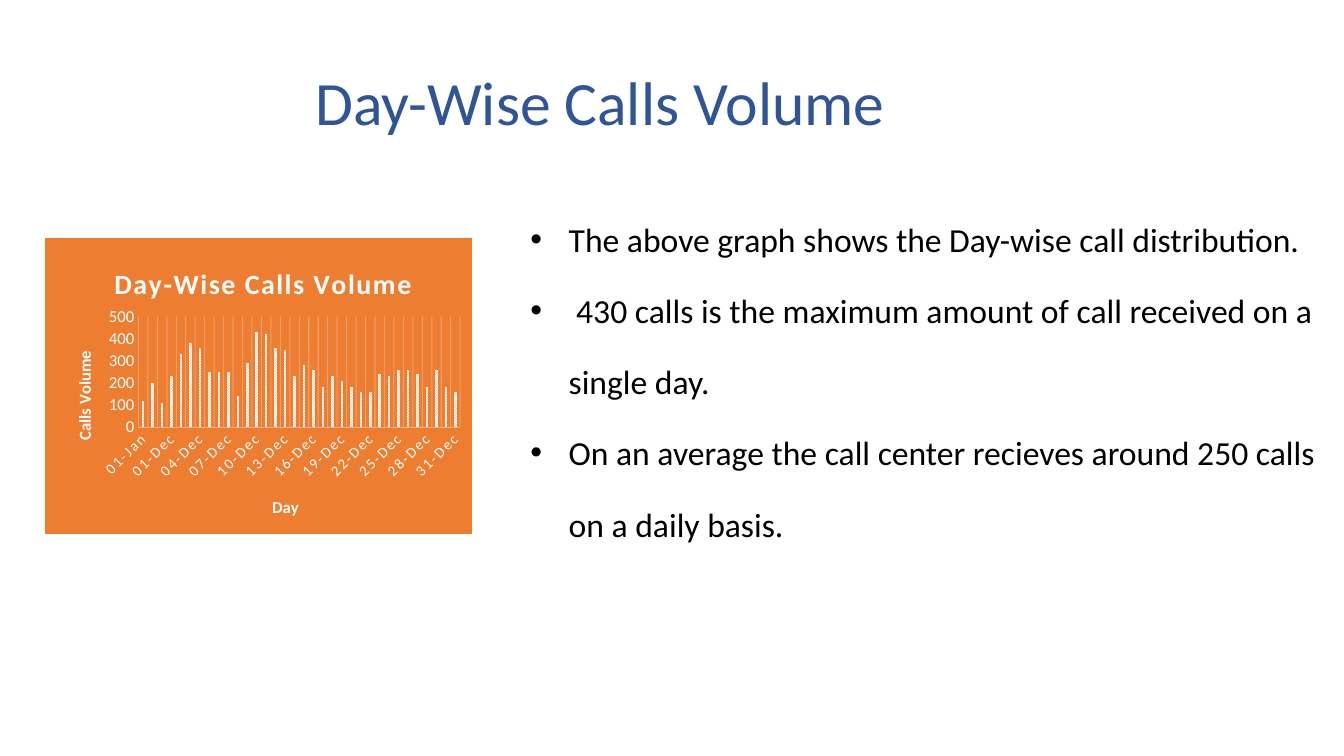
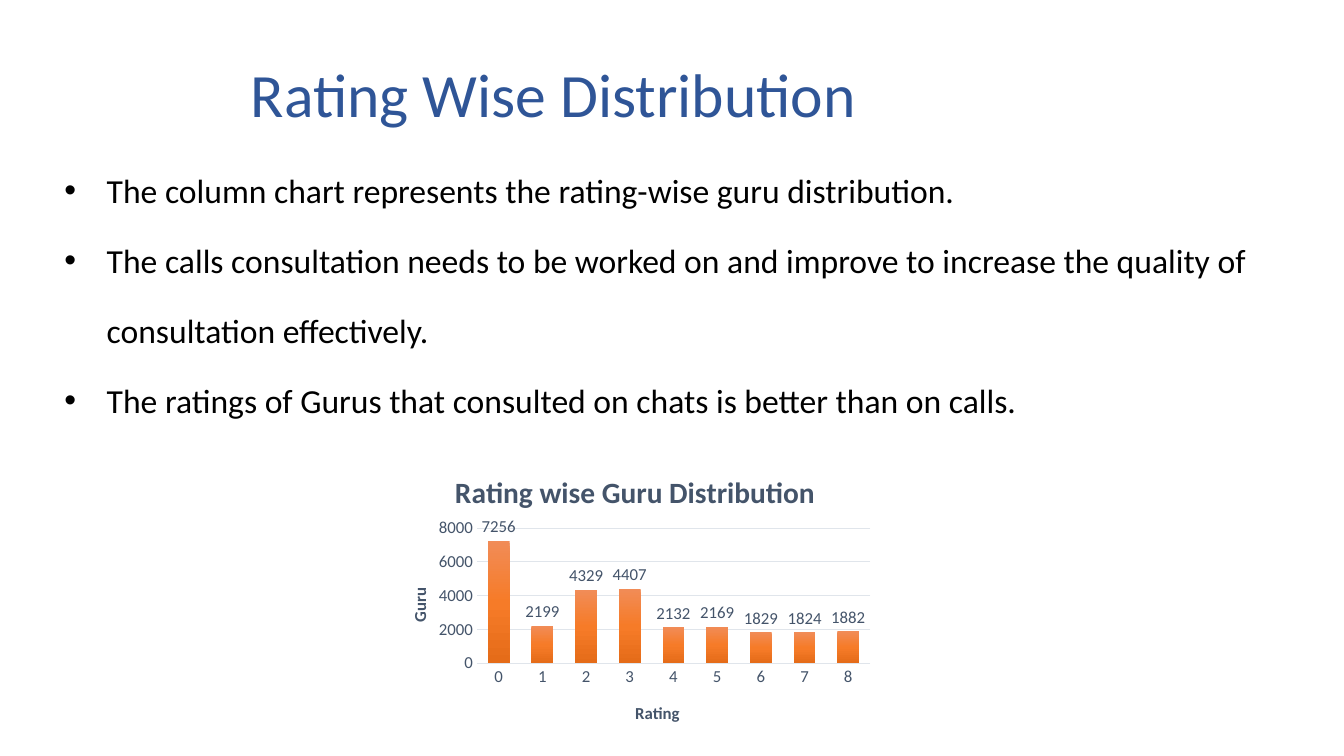
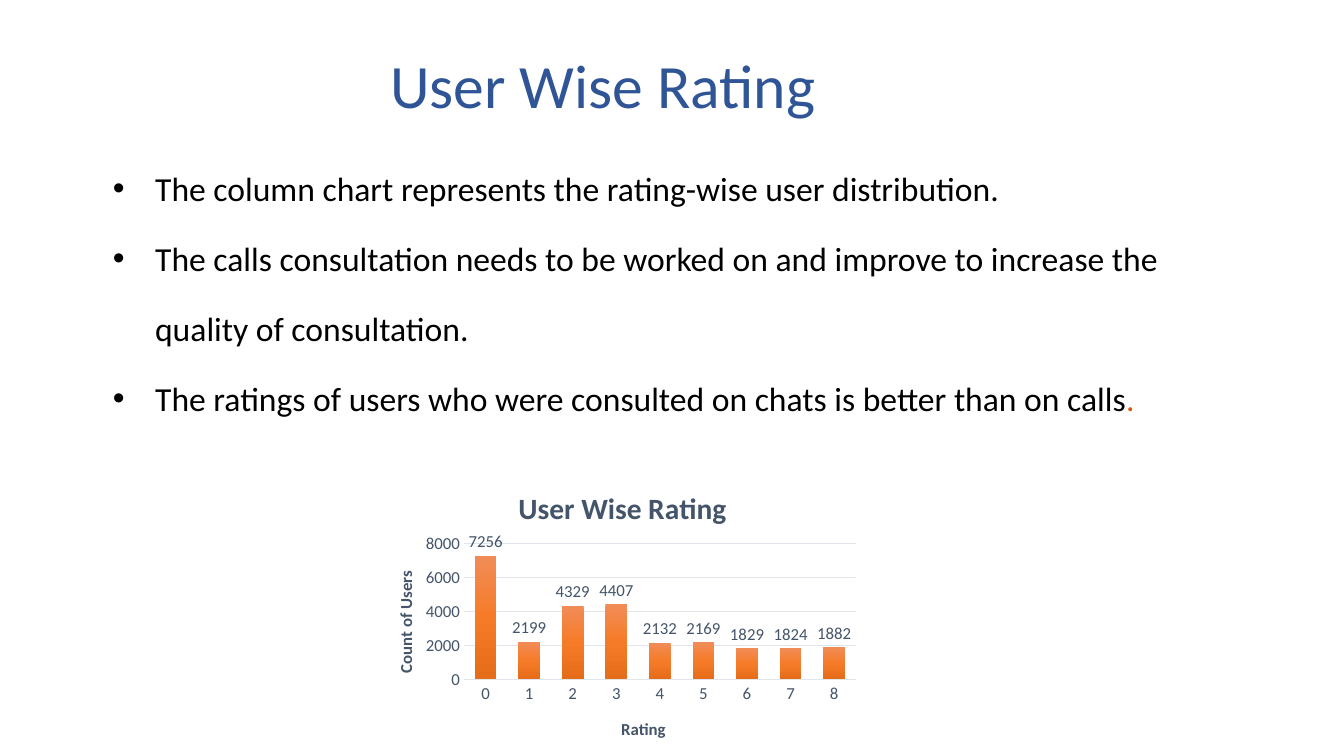
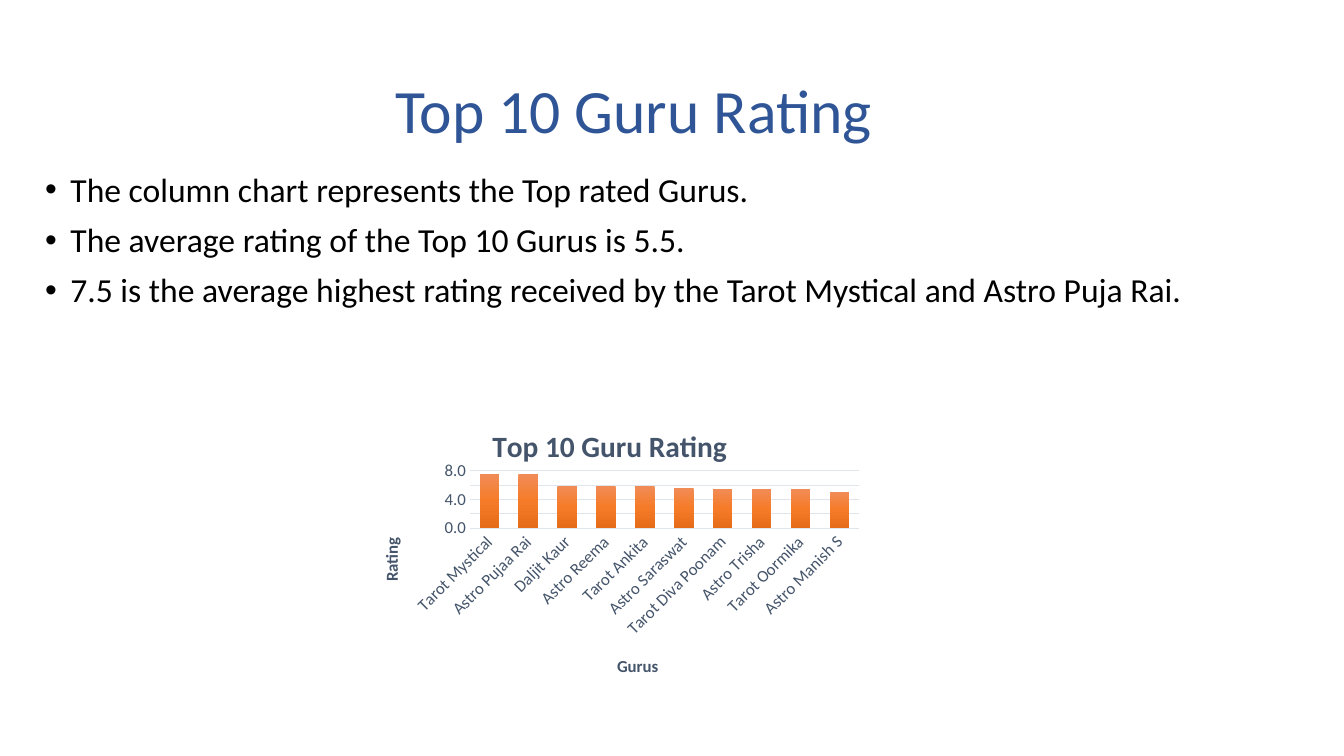
from lxml import etree
from pptx import Presentation
from pptx.chart.data import CategoryChartData
from pptx.dml.color import RGBColor
from pptx.enum.chart import XL_CHART_TYPE, XL_LABEL_POSITION, XL_TICK_MARK
from pptx.enum.dml import MSO_PATTERN
from pptx.enum.text import MSO_ANCHOR
from pptx.oxml import parse_xml
from pptx.oxml.ns import nsdecls, qn
from pptx.util import Inches, Pt

COLUMN = XL_CHART_TYPE.COLUMN_CLUSTERED
OUT_END = XL_LABEL_POSITION.OUTSIDE_END
NO_TICK = XL_TICK_MARK.NONE
STRIPES = MSO_PATTERN.LIGHT_UPWARD_DIAGONAL
MIDDLE = MSO_ANCHOR.MIDDLE

FONT = "Calibri"
BLUE = RGBColor(0x2F, 0x55, 0x97)
BLACK = RGBColor(0, 0, 0)
WHITE = RGBColor(0xFF, 0xFF, 0xFF)
SLATE = RGBColor(0x44, 0x54, 0x6A)
PALE = RGBColor(0xE0, 0xE5, 0xEB)
ORANGE = RGBColor(0xED, 0x7D, 0x31)
PEACH = RGBColor(0xF4, 0xB1, 0x83)
RUST = RGBColor(0xDE, 0x57, 0x0E)
SHADES = [(0, "F18C57"), (50, "F67B28"), (100, "E56C19")]

days = ["01-Jan", "02-Jan", "03-Jan"] + [f"{d:02}-Dec" for d in range(1, 32)]
calls = [120, 200, 110, 230, 330, 380, 360, 250, 250, 250, 140, 290,
         430, 420, 360, 350, 230, 280, 260, 180, 230, 210, 180, 160,
         160, 240, 230, 260, 260, 240, 180, 260, 180, 160]
scores = [str(n) for n in range(9)]
counts = [7256, 2199, 4329, 4407, 2132, 2169, 1829, 1824, 1882]
gurus = ["Tarot Mystical", "Astro Pujaa Rai", "Daljit Kaur", "Astro Reema",
         "Tarot Ankita", "Astro Saraswat", "Tarot Diva Poonam",
         "Astro Trisha", "Tarot Oormika", "Astro Manish S"]
means = [7.5, 7.5, 5.9, 5.9, 5.8, 5.6, 5.5, 5.4, 5.4, 5]

# Boxes are left, top, width, height; chart titles are text, left, top.
SLIDES = [
    {"title": "Day-Wise Calls Volume", "head": (3.03, 0.32, 9.3, 1.45),
     "body": (4.84, 1.86, 8.36, 5.41), "inset": 0, "indent": (0.8, 0.38),
     "line": Pt(50.9), "before": 0,
     "points": ["The above graph shows the Day-wise call distribution.",
                " 430 calls is the maximum amount of call received on a "
                "single day.",
                "On an average the call center recieves around 250 calls "
                "on a daily basis."],
     "chart": (0.45, 2.36, 4.23, 2.94), "plot": (1.37, 3.14, 3.2, 1.1),
     "names": [("Day-Wise Calls Volume", 1.08, 2.56), ("Day", 2.67, 4.89),
               ("Calls Volume", 0.69, 3.45)],
     "cats": days, "vals": calls, "top": 500, "step": 100,
     "dark": True, "slant": True},
    {"title": "Rating Wise Distribution", "head": (2.39, 0.4, 9.9, 1.13),
     "body": (0.12, 1.34, 12.96, 4.31), "inset": 0.1, "indent": (0.84, 0.42),
     "line": Pt(50), "before": 0,
     "points": ["The column chart represents the rating-wise guru "
                "distribution.",
                "The calls consultation needs to be worked on and improve to "
                "increase the quality of consultation effectively.",
                "The ratings of Gurus that consulted on chats is better than "
                "on calls."],
     "chart": (3.78, 4.43, 4.95, 2.91), "plot": (4.73, 5.24, 3.9, 1.34),
     "names": [("Rating wise Guru Distribution", 4.46, 4.63),
               ("Rating", 6.27, 6.93), ("Guru", 4.02, 5.8)],
     "cats": scores, "vals": counts, "top": 8000, "step": 2000,
     "labels": True},
    {"title": "User Wise Rating", "head": (3.77, 0.4, 8.6, 0.96),
     "body": (0.6, 1.32, 11.22, 4.31), "inset": 0.1, "indent": (0.84, 0.42),
     "line": Pt(50), "before": 0,
     "points": ["The column chart represents the rating-wise user "
                "distribution.",
                "The calls consultation needs to be worked on and improve to "
                "increase the quality of consultation.",
                "The ratings of users who were consulted on chats is better "
                "than on calls"],
     "tail": ".",
     "chart": (3.65, 4.59, 4.94, 2.91), "plot": (4.6, 5.39, 3.89, 1.35),
     "names": [("User Wise Rating", 5.09, 4.78), ("Rating", 6.13, 7.09),
               ("Count of Users", 3.88, 5.63)],
     "cats": scores, "vals": counts, "top": 8000, "step": 2000,
     "labels": True},
    {"title": "Top 10 Guru Rating", "head": (3.82, 0.4, 8.6, 1.45),
     "body": (0.35, 1.67, 12.07, 1.84), "inset": 0.1, "indent": (0.25, 0.25),
     "line": 0.9, "before": 10,
     "points": ["The column chart represents the Top rated Gurus.",
                "The average rating of the Top 10 Gurus is 5.5.",
                "7.5 is the average highest rating received by the Tarot "
                "Mystical and Astro Puja Rai."],
     "chart": (3.5, 3.97, 5.13, 2.91), "plot": (4.66, 4.67, 3.86, 0.57),
     "names": [("Top 10 Guru Rating", 4.83, 4.17), ("Gurus", 6.09, 6.47),
               ("Rating", 3.74, 5.3)],
     "cats": gurus, "vals": means, "top": 8, "step": 2, "fmt": "0.0",
     "slant": True},
]


def style(font, size, color, bold=False):
    font.name, font.size, font.bold = FONT, Pt(size), bold
    font.color.rgb = color


def place(node, frame, spot):
    """Fix a chart part at a spot given in slide inches."""
    for old in node.findall(qn("c:layout")):
        node.remove(old)
    layout = etree.Element(qn("c:layout"))
    manual = etree.SubElement(layout, qn("c:manualLayout"))
    rules = [("xMode", "edge"), ("yMode", "edge"),
             ("x", (spot[0] - frame[0]) / frame[2]),
             ("y", (spot[1] - frame[1]) / frame[3])]
    if len(spot) == 4:
        rules.insert(0, ("layoutTarget", "inner"))
        rules += [("w", spot[2] / frame[2]), ("h", spot[3] / frame[3])]
    for tag, val in rules:
        val = val if isinstance(val, str) else f"{val:.4f}"
        etree.SubElement(manual, qn("c:" + tag)).set("val", val)
    tx = node.find(qn("c:tx"))
    if tx is None:
        node.insert(0, layout)
    else:
        tx.addnext(layout)


deck = Presentation()
deck.slide_width, deck.slide_height = Inches(13.33), Inches(7.5)

for page in SLIDES:
    slide = deck.slides.add_slide(deck.slide_layouts[6])

    # Title
    frame = slide.shapes.add_textbox(*map(Inches, page["head"])).text_frame
    frame.word_wrap = True
    frame.vertical_anchor = MIDDLE
    frame.text = page["title"]
    frame.paragraphs[0].line_spacing = 0.9
    style(frame.paragraphs[0].runs[0].font, 44, BLUE)

    # Bullet points
    frame = slide.shapes.add_textbox(*map(Inches, page["body"])).text_frame
    frame.word_wrap = True
    frame.margin_left = frame.margin_right = Inches(page["inset"])
    frame.margin_top = frame.margin_bottom = Inches(page["inset"] / 2)
    frame.text = "\n".join(page["points"])
    left, hang = page["indent"]
    for para in frame.paragraphs:
        para.line_spacing = page["line"]
        para.space_before = Pt(page["before"])
        style(para.runs[0].font, 24, BLACK)
        props = para._p.get_or_add_pPr()
        props.set("marL", str(Inches(left)))
        props.set("indent", str(-Inches(hang)))
        etree.SubElement(props, qn("a:buFont")).set("typeface", "Arial")
        etree.SubElement(props, qn("a:buChar")).set("char", "•")
    if "tail" in page:
        run = para.add_run()
        run.text = page["tail"]
        style(run.font, 24, RUST)

    # Chart
    dark = page.get("dark", False)
    ink = WHITE if dark else SLATE
    data = CategoryChartData()
    data.categories = page["cats"]
    data.add_series("Series 1", page["vals"])
    box = page["chart"]
    chart = slide.shapes.add_chart(COLUMN, *map(Inches, box), data).chart
    root = chart.element
    style(chart.font, 10, BLACK)
    chart.has_legend = False
    cat, val = chart.category_axis, chart.value_axis
    for part, (text, x, y), size in zip((chart, cat, val), page["names"],
                                        (20 if dark else 21, 12, 12)):
        title = part.chart_title if part is chart else part.axis_title
        title.text_frame.text = text
        style(title.text_frame.paragraphs[0].runs[0].font, size, ink, True)
        place(title._element, box, (x, y))
    place(root.xpath("c:chart/c:plotArea")[0], box, page["plot"])
    root.xpath(".//c:valAx/c:title//a:bodyPr")[0].set("rot", "-5400000")

    # Axes
    for axis in (cat, val):
        axis.major_tick_mark = axis.minor_tick_mark = NO_TICK
        style(axis.tick_labels.font, 12, ink)
    val.minimum_scale, val.maximum_scale = 0, page["top"]
    val.major_unit = page["step"]
    val.format.line.fill.background()
    val.has_major_gridlines = not dark
    cat.has_major_gridlines = dark
    grid = (cat if dark else val).major_gridlines.format.line
    grid.color.rgb = WHITE if dark else PALE
    grid.width = Pt(0.75)
    cat.format.line.color.rgb = PEACH if dark else PALE
    cat.format.line.width = Pt(0.25 if dark else 0.75)
    if "fmt" in page:
        val.tick_labels.number_format = page["fmt"]
        val.tick_labels.number_format_is_linked = False
    if "slant" in page:
        root.xpath(".//c:catAx/c:txPr/a:bodyPr")[0].set("rot", "-2700000")

    # Columns
    plot = chart.plots[0]
    plot.vary_by_categories = False
    plot.gap_width, plot.overlap = (269, -20) if dark else (100, -24)
    fill = plot.series[0].format.fill
    if dark:
        fill.patterned()
        fill.pattern = STRIPES
        fill.fore_color.rgb, fill.back_color.rgb = ORANGE, WHITE
        cat.tick_labels.font.size = Pt(10.6)
        root.xpath(".//c:catAx/c:txPr//a:defRPr")[0].set("spc", "150")
        root.xpath("c:chart/c:title//a:rPr")[0].set("spc", "100")
        tint = root.xpath(".//c:majorGridlines//a:srgbClr")[0]
        etree.SubElement(tint, qn("a:alpha")).set("val", "25000")
        paint = f'<a:solidFill><a:srgbClr val="{ORANGE}"/></a:solidFill>'
        root.xpath("c:chart")[0].addnext(parse_xml(
            f'<c:spPr {nsdecls("c", "a")}>{paint}'
            f'<a:ln w="9525">{paint}</a:ln></c:spPr>'))
    else:
        fill.gradient()
        fill.gradient_angle = 270
        stops = root.xpath(".//c:ser//a:gsLst")[0]
        for old in list(stops):
            stops.remove(old)
        for pos, shade in SHADES:
            stop = etree.SubElement(stops, qn("a:gs"))
            stop.set("pos", str(pos * 1000))
            etree.SubElement(stop, qn("a:srgbClr")).set("val", shade)
    if "labels" in page:
        plot.has_data_labels = True
        labels = plot.data_labels
        labels.show_value = True
        labels.position = OUT_END
        style(labels.font, 12, ink)

deck.save("out.pptx")
